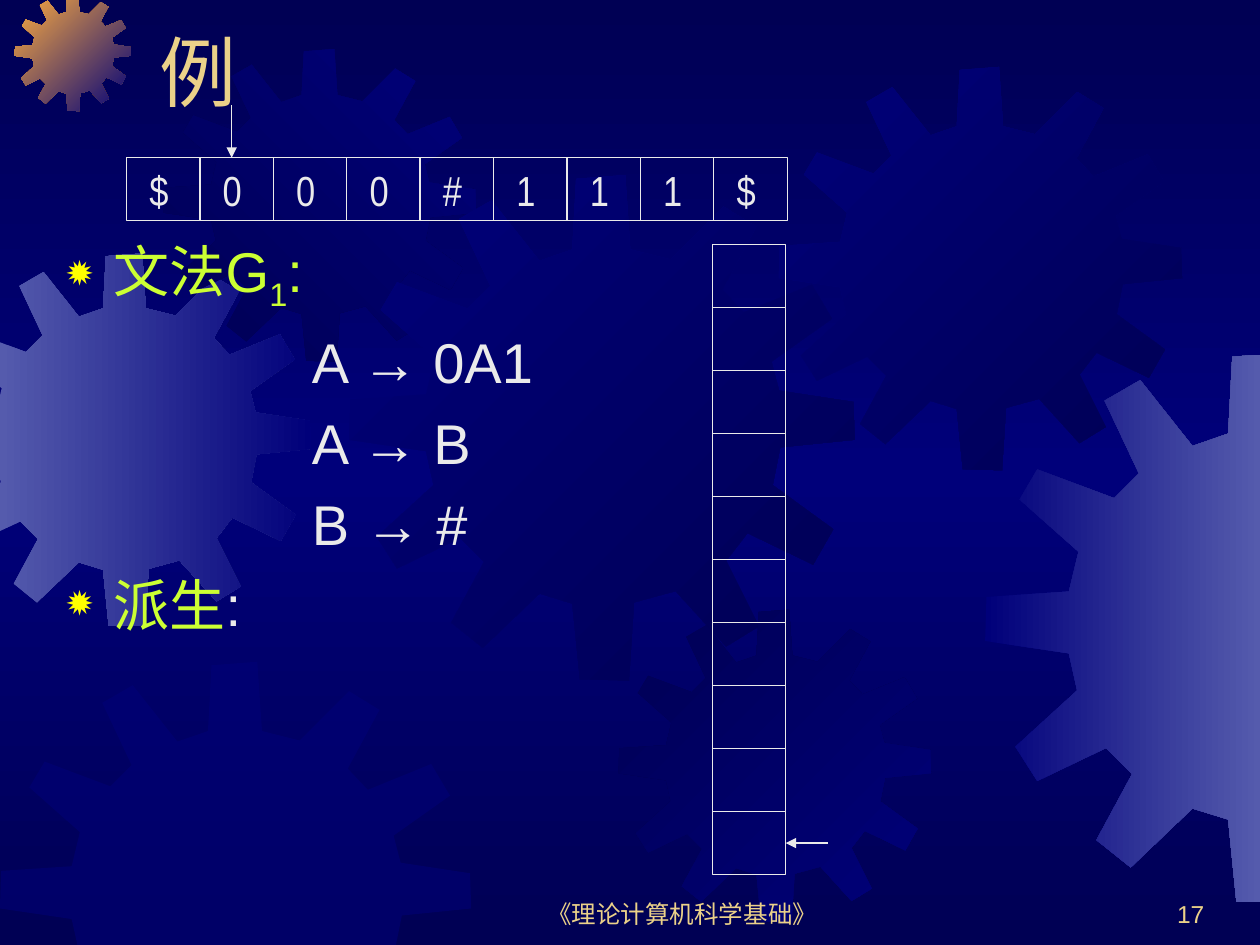
from lxml import etree
from pptx import Presentation
from pptx import util as u
from pptx.dml.color import RGBColor
from pptx.enum import shapes, text
from pptx.oxml import parse_xml
from pptx.oxml import ns

WIDTH, HEIGHT = 25.4, 19.05
NAVY, BLUE, HAZE, ORANGE = "000054", "00007A", "555BAD", "FCAB40"
GOLD, LIME, PALE, YELLOW = "EBD189", "CCFF33", "EAEAEA", "FFFF00"

GEAR_SPAN = 401
GEAR_OUTLINE = [
    (255, 67), (223, 59), (219, 0), (180, 3), (177, 59), (151, 68), (113, 20),
    (87, 35), (112, 88), (94, 106), (38, 85), (25, 107), (68, 145), (61, 174),
    (1, 178), (0, 210), (61, 219), (67, 246), (22, 287), (38, 312), (88, 288),
    (107, 307), (81, 355), (106, 375), (151, 332), (177, 340), (183, 400),
    (222, 401), (226, 339), (259, 330), (299, 374), (325, 358), (299, 306),
    (316, 284), (368, 309), (384, 281), (336, 246), (342, 216), (401, 210),
    (400, 180), (341, 171), (335, 148), (383, 114), (367, 87), (313, 109),
    (296, 91), (323, 41), (297, 25),
]
GEARS = [
    (-1.24, 5.11, 7.52, [HAZE, BLUE], 0, 100),
    (0.3, -0.1, 2.34, [ORANGE, BLUE], 45, 100),
    (3.3, 0.99, 6.3, [NAVY, BLUE], 315, 100),
    (7.04, 3.53, 10.19, [BLUE, NAVY], 45, 100),
    (0, 13.34, 9.5, [BLUE, BLUE], 0, 50),
    (12.47, 12.29, 6.3, [NAVY, BLUE], 45, 100),
    (15.7, 1.35, 8.13, [BLUE, NAVY], 45, 100),
    (19.86, 7.11, 11.1, [BLUE, HAZE], 0, 100),
]
LABELS = [
    ("《理论计算机科学基础》", 9.73, 17.58, 8.05, 1.27, 14, text.PP_ALIGN.CENTER),
    ("17", 19.25, 17.58, 5.28, 1.27, 14, text.PP_ALIGN.RIGHT),
    ("例", 2.97, 0, 21.59, 2.49, 44, text.PP_ALIGN.LEFT),
]
GRAMMAR = [
    (True, [("文法G", LIME, 0), ("1", LIME, -25), (":", LIME, 0)]),
    (False, [("A → 0A1", PALE, 0)]),
    (False, [("A → B", PALE, 0)]),
    (False, [("B → #", PALE, 0)]),
    (True, [("派生", LIME, 0), (":", PALE, 0)]),
]
TAPE = "$000#111$"
TAPE_LEFT, TAPE_TOP = 2.55, 3.18
STACK_LEFT, STACK_TOP, STACK_DEPTH = 14.36, 4.93, 10
CELL_W, CELL_H = 1.48, 1.27


def rgb(value):
    return RGBColor.from_string(value)


def set_gradient(fill, holder, colors, angle, opacity=100):
    fill.solid()
    stops = "".join(
        f'<a:gs pos="{100000 * i // (len(colors) - 1)}"><a:srgbClr val="{color}">'
        f'<a:alpha val="{opacity * 1000}"/></a:srgbClr></a:gs>'
        for i, color in enumerate(colors))
    gradient = parse_xml(
        f'<a:gradFill {ns.nsdecls("a")} rotWithShape="1"><a:gsLst>{stops}</a:gsLst>'
        f'<a:lin ang="{angle * 60000}" scaled="0"/></a:gradFill>')
    solid = holder.find(ns.qn("a:solidFill"))
    holder.replace(solid, gradient)


def clip(points, axis, limit, sign):
    kept = []
    for start, end in zip(points[-1:] + points[:-1], points):
        before, after = (sign * (p[axis] - limit) for p in (start, end))
        if before * after < 0:
            t = before / (before - after)
            kept.append(tuple(a + t * (b - a) for a, b in zip(start, end)))
        if after >= 0:
            kept.append(end)
    return kept


def add_gear(slide, left, top, size, colors, angle, opacity):
    scale = size / GEAR_SPAN
    points = [(left + x * scale, top + y * scale) for x, y in GEAR_OUTLINE]
    for edge in ((0, 0, 1), (0, WIDTH, -1), (1, 0, 1), (1, HEIGHT, -1)):
        points = clip(points, *edge)
    points = [(u.Cm(x), u.Cm(y)) for x, y in points]
    builder = slide.shapes.build_freeform(*points[0])
    builder.add_line_segments(points[1:], close=True)
    gear = builder.convert_to_shape()
    gear.shadow.inherit = False
    gear.line.fill.background()
    set_gradient(gear.fill, gear._element.spPr, colors, angle, opacity)


def add_frame(slide, left, top, width, height, anchor):
    box = slide.shapes.add_textbox(u.Cm(left), u.Cm(top), u.Cm(width), u.Cm(height))
    frame = box.text_frame
    frame.word_wrap = True
    frame.vertical_anchor = anchor
    return frame


def set_font(paragraph, size, name="Arial", color=None):
    paragraph.font.size = u.Pt(size)
    paragraph.font.name = name
    if color:
        paragraph.font.color.rgb = rgb(color)


def add_label(slide, words, left, top, width, height, size, align):
    frame = add_frame(slide, left, top, width, height, text.MSO_ANCHOR.BOTTOM)
    label = frame.paragraphs[0]
    label.text = words
    label.alignment = align
    set_font(label, size, color=GOLD)


def add_grammar(slide):
    frame = add_frame(slide, 1.09, 4.65, 12.5, 12.9, text.MSO_ANCHOR.TOP)
    for i, (bulleted, pieces) in enumerate(GRAMMAR):
        rule = frame.add_paragraph() if i else frame.paragraphs[0]
        props = rule._p.get_or_add_pPr()
        props.set("marL", str(u.Cm(0.95 if bulleted else 4.95)))
        props.set("indent", str(u.Cm(-0.95 if bulleted else 0)))
        if bulleted:
            color = etree.SubElement(props, ns.qn("a:buClr"))
            etree.SubElement(color, ns.qn("a:srgbClr"), val=YELLOW)
            etree.SubElement(props, ns.qn("a:buSzPct"), val="80000")
            etree.SubElement(props, ns.qn("a:buChar"), char="✹")
        if i:
            rule.space_before = u.Pt(8)
        set_font(rule, 32)
        for words, color, shift in pieces:
            run = rule.add_run()
            run.text = words
            run.font.color.rgb = rgb(color)
            if shift:
                run._r.get_or_add_rPr().set("baseline", str(shift * 1000))


def add_cell(slide, left, top, symbol=""):
    cell = slide.shapes.add_shape(shapes.MSO_SHAPE.RECTANGLE, u.Cm(left), u.Cm(top),
                                  u.Cm(CELL_W), u.Cm(CELL_H))
    cell.shadow.inherit = False
    cell.fill.background()
    cell.line.color.rgb = rgb(PALE)
    cell.line.width = u.Pt(0.75)
    if symbol:
        frame = cell.text_frame
        frame.word_wrap = True
        frame.margin_left, frame.margin_right = u.Cm(0.46), 0
        frame.vertical_anchor = text.MSO_ANCHOR.MIDDLE
        frame.text = symbol
        frame.paragraphs[0].alignment = text.PP_ALIGN.LEFT
        set_font(frame.paragraphs[0], 24, "Arial Narrow", PALE)


def add_arrow(slide, *ends):
    arrow = slide.shapes.add_connector(shapes.MSO_CONNECTOR.STRAIGHT,
                                       *(u.Cm(v) for v in ends))
    arrow.line.color.rgb = rgb(PALE)
    arrow.line.width = u.Pt(0.75)
    etree.SubElement(arrow.line._get_or_add_ln(), ns.qn("a:tailEnd"), type="triangle")
    etree.SubElement(arrow._element.spPr, ns.qn("a:effectLst"))


def main():
    deck = Presentation()
    deck.slide_width, deck.slide_height = u.Cm(WIDTH), u.Cm(HEIGHT)
    slide = deck.slides.add_slide(deck.slide_layouts[6])
    backdrop = slide.background.fill
    set_gradient(backdrop, slide._element.cSld.bg.bgPr, [NAVY, BLUE, NAVY], 90)
    for gear in GEARS:
        add_gear(slide, *gear)
    for label in LABELS:
        add_label(slide, *label)
    add_grammar(slide)
    for i, symbol in enumerate(TAPE):
        add_cell(slide, TAPE_LEFT + i * CELL_W, TAPE_TOP, symbol)
    for i in range(STACK_DEPTH):
        add_cell(slide, STACK_LEFT, STACK_TOP + i * CELL_H)
    head_x = 4.67
    add_arrow(slide, head_x, 2.12, head_x, TAPE_TOP)
    stack_right = STACK_LEFT + CELL_W
    pointer_y = STACK_TOP + (STACK_DEPTH - 0.5) * CELL_H
    add_arrow(slide, stack_right + 0.85, pointer_y, stack_right, pointer_y)
    deck.save("out.pptx")


if __name__ == "__main__":
    main()
